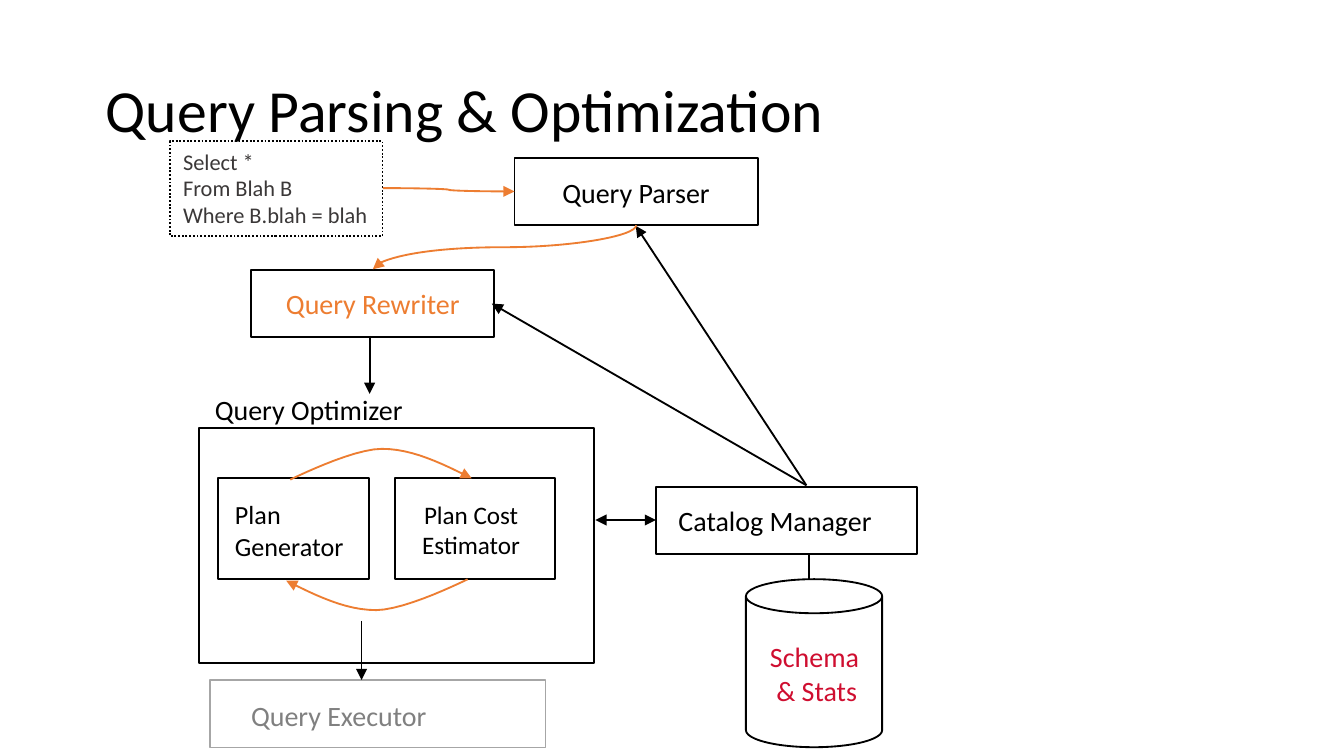
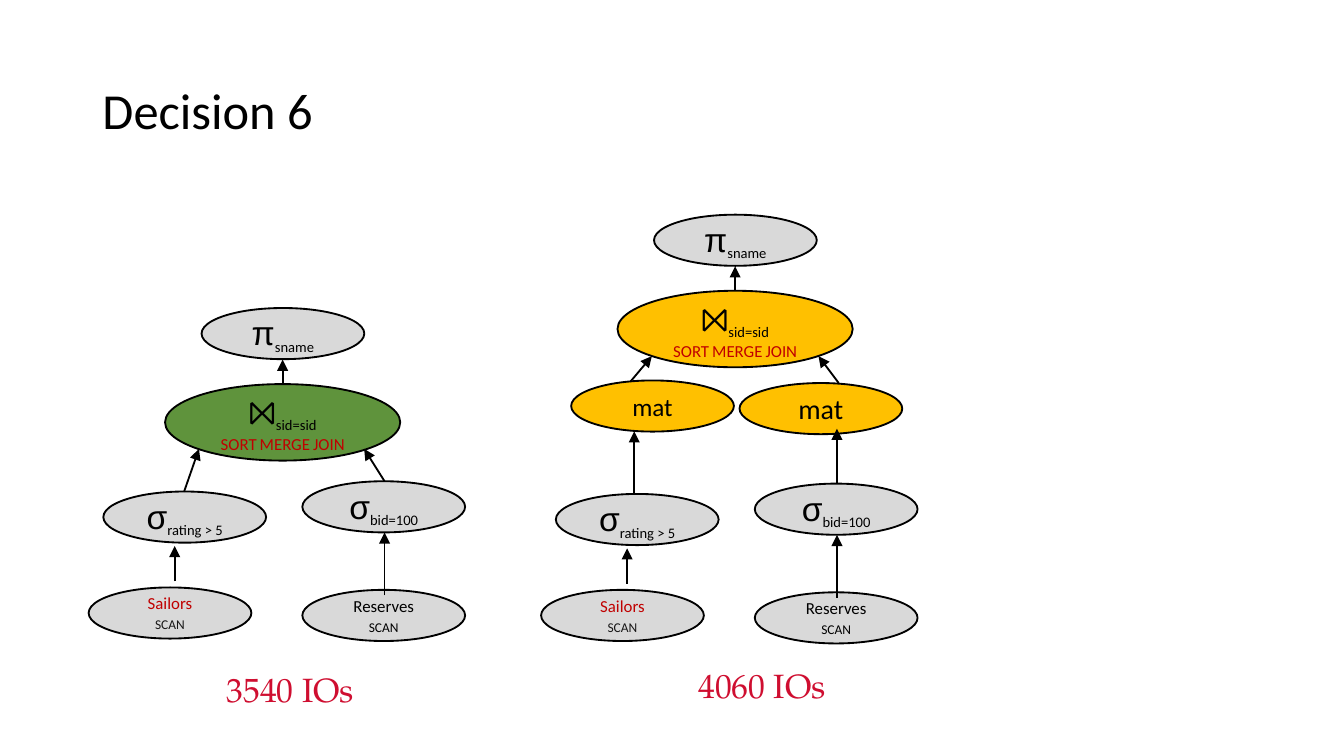
from lxml.etree import SubElement
from pptx import Presentation
from pptx.dml.color import RGBColor
from pptx.enum.dml import MSO_LINE
from pptx.enum.shapes import MSO_CONNECTOR, MSO_SHAPE
from pptx.enum.text import MSO_ANCHOR, MSO_AUTO_SIZE, PP_ALIGN
from pptx.oxml.ns import qn
from pptx.util import Pt

BLACK = RGBColor(0x00, 0x00, 0x00)
WHITE = RGBColor(0xFF, 0xFF, 0xFF)
ORANGE = RGBColor(0xED, 0x7D, 0x31)
CRIMSON = RGBColor(0xCF, 0x0E, 0x30)
DARK_RED = RGBColor(0xC0, 0x00, 0x00)
CHARCOAL = RGBColor(0x3B, 0x38, 0x38)
NEAR_BLACK = RGBColor(0x18, 0x17, 0x17)
GRAY = RGBColor(0x80, 0x80, 0x80)
MID_GRAY = RGBColor(0xA6, 0xA6, 0xA6)
LIGHT_GRAY = RGBColor(0xD9, 0xD9, 0xD9)
GREEN = RGBColor(0x5F, 0x93, 0x3C)
GOLD = RGBColor(0xFF, 0xC0, 0x00)

BODY_FONT = "Calibri"
SYMBOL_FONT = "Arial"
COST_FONT = "TeX Gyre Pagella"
LEFT, CENTER = PP_ALIGN.LEFT, PP_ALIGN.CENTER
TOP, MIDDLE = MSO_ANCHOR.TOP, MSO_ANCHOR.MIDDLE


def add_box(page, kind, place, lines=(), size=15, colour=BLACK, font=BODY_FONT,
            align=LEFT, anchor=TOP, wrap=True, fill=None, outline=BLACK):
    """Add a preset shape, or a plain text box when kind is None."""
    place = [Pt(value) for value in place]
    if kind is None:
        box = page.shapes.add_textbox(*place)
    else:
        box = page.shapes.add_shape(kind, *place)
        box.shadow.inherit = False
        box.line.color.rgb = outline
        box.line.width = Pt(1)
        if fill is None:
            box.fill.background()
        else:
            box.fill.solid()
            box.fill.fore_color.rgb = fill
    frame = box.text_frame
    frame.word_wrap = wrap
    frame.vertical_anchor = anchor
    for index, text in enumerate(lines):
        para = frame.add_paragraph() if index else frame.paragraphs[0]
        para.text = text
        para.alignment = align
        para.font.size = Pt(size)
        para.font.name = font
        para.font.color.rgb = colour
    return box


def finish_line(line_shape, colour, *ends):
    """Colour a line, give it triangle ends and remove its shadow."""
    line_shape.line.color.rgb = colour
    line_shape.line.width = Pt(1)
    properties = line_shape._element.spPr
    for end in ends:
        SubElement(properties.find(qn("a:ln")), qn("a:" + end), type="triangle")
    SubElement(properties, qn("a:effectLst"))


deck = Presentation()
deck.slide_width, deck.slide_height = Pt(720), Pt(405)

# Titles
pages = []
for heading, size in (("Query Parsing & Optimization", 32), ("Decision 6", 27)):
    page = deck.slides.add_slide(deck.slide_layouts[5])
    title = page.shapes.title
    title.left, title.top, title.width, title.height = Pt(49.5), Pt(21.6), Pt(621), Pt(78.3)
    title.text = heading
    frame = title.text_frame
    frame.auto_size = MSO_AUTO_SIZE.NONE
    frame.vertical_anchor = MIDDLE
    para = frame.paragraphs[0]
    para.alignment = LEFT
    para.line_spacing = 0.9
    para.font.size = Pt(size)
    para.font.name = BODY_FONT
    para.font.color.rgb = BLACK
    pages.append(page)
flow_page, plan_page = pages
plan_page.shapes.title.text_frame.margin_left = Pt(5.4)

# Flow: outlined stages
RECTANGLE = MSO_SHAPE.RECTANGLE
for place, outline in (
    ((351.4, 260.8, 140, 36), BLACK),
    ((112.3, 364.5, 180, 36), MID_GRAY),
    ((106.7, 229.2, 211.7, 126), BLACK),
    ((116.7, 256.2, 81, 54), BLACK),
    ((211.7, 256.2, 85.5, 54), BLACK),
):
    add_box(flow_page, RECTANGLE, place, outline=outline)
for place, label, colour in (
    ((134.6, 144.7, 130.3, 36), "Query Rewriter", ORANGE),
    ((275.6, 84.8, 130.3, 36), "Query Parser", BLACK),
):
    add_box(flow_page, RECTANGLE, place, [label], colour=colour,
            align=CENTER, anchor=MIDDLE, wrap=False)
query = add_box(flow_page, RECTANGLE, (91, 75.6, 114, 51),
                ["Select *", "From Blah B", "Where B.blah = blah"],
                size=12, colour=CHARCOAL, wrap=False)
query.line.dash_style = MSO_LINE.ROUND_DOT
add_box(flow_page, MSO_SHAPE.CAN, (399.6, 310.3, 73, 90), fill=WHITE)

# Flow: labels
for place, lines, size, colour, align, anchor in (
    ((216, 263.5, 72.7, 40.3), ["Plan Cost Estimator"], 13.5, BLACK, CENTER, MIDDLE),
    ((118.8, 263.5, 99.4, 41), ["Plan Generator"], 14, BLACK, LEFT, MIDDLE),
    ((127.4, 370.8, 234, 25.2), ["Query Executor"], 15, GRAY, LEFT, TOP),
    ((356.4, 266.4, 144, 25.2), ["Catalog Manager"], 15, BLACK, LEFT, TOP),
    ((108, 206.6, 364.3, 25.2), ["Query Optimizer"], 15, BLACK, LEFT, TOP),
    ((405.4, 339.1, 66.2, 43.9), ["Schema", " & Stats"], 15, CRIMSON, LEFT, TOP),
):
    add_box(flow_page, None, place, lines, size, colour, align=align, anchor=anchor)

# Flow: straight connectors
for start_x, start_y, end_x, end_y, ends in (
    (193.7, 332.6, 193.7, 364.3, ["tailEnd"]),
    (319, 278.6, 351.4, 278.6, ["headEnd", "tailEnd"]),
    (198, 180, 198, 211, ["tailEnd"]),
    (433.4, 297.4, 433.4, 310.3, []),
    (340.6, 121, 432, 260, ["headEnd"]),
    (263.5, 162.7, 432, 260, ["headEnd"]),
):
    connector = flow_page.shapes.add_connector(
        MSO_CONNECTOR.STRAIGHT, Pt(start_x), Pt(start_y), Pt(end_x), Pt(end_y))
    finish_line(connector, BLACK, *ends)

# Flow: curved connectors, the second turned by a quarter
for start_x, start_y, end_x, end_y, quarter_turns in (
    (205.2, 100.8, 275.6, 102.6, 0),
    (258.5, 61.9, 282.1, 203, 1),
):
    connector = flow_page.shapes.add_connector(
        MSO_CONNECTOR.CURVE, Pt(start_x), Pt(start_y), Pt(end_x), Pt(end_y))
    if quarter_turns:
        connector._element.spPr.find(qn("a:xfrm")).set("rot", str(quarter_turns * 5400000))
    finish_line(connector, ORANGE, "tailEnd")

# Flow: loop between generator and estimator, the lower arc mirrors the upper
upper_arc = [
    [(252.7, 256.3), (236.9, 248.4), (221, 240.5), (204.5, 240.5)],
    [(204.5, 240.5), (188.6, 240.5), (155.5, 257), (155.5, 257)],
]
lower_arc = [[(406 - x, 567.4 - y) for x, y in curve] for curve in upper_arc]
STEPS = 12
for arc, end in ((upper_arc, "headEnd"), (lower_arc, "headEnd")):
    points = [arc[0][0]]
    for curve in arc:
        for step in range(1, STEPS + 1):
            t = step / STEPS
            weights = ((1 - t) ** 3, 3 * t * (1 - t) ** 2, 3 * t * t * (1 - t), t ** 3)
            points.append(tuple(
                sum(weight * point[axis] for weight, point in zip(weights, curve))
                for axis in (0, 1)))
    points = [(Pt(x), Pt(y)) for x, y in points]
    builder = flow_page.shapes.build_freeform(*points[0])
    builder.add_line_segments(points[1:], close=False)
    loop = builder.convert_to_shape()
    loop.fill.background()
    finish_line(loop, ORANGE, end)

# Plans: two trees of operators, each operator a list of paragraphs of spans
NODE_WIDTH, NODE_HEIGHT = 87.2, 27.4
MAT = (13.5, BODY_FONT, BLACK, {})
SYMBOL = (18, SYMBOL_FONT, BLACK, {})
SUBSCRIPT = (13.5, BODY_FONT, BLACK, {"baseline": "-25000"})
TABLE = (9, BODY_FONT, BLACK, {})
RED_TABLE = (9, BODY_FONT, DARK_RED, {})
METHOD = (9, BODY_FONT, BLACK, {"cap": "small"})
DARK_METHOD = (9, BODY_FONT, NEAR_BLACK, {"cap": "small"})
RED_METHOD = (9, BODY_FONT, DARK_RED, {"cap": "small"})

for shift, lower, upper, join_fill, cost, cost_left, cost_top in (
    (0, 0, 0, GREEN, "3540 IOs", 99.4, 355.7),
    (242.4, 1.3, -50, GOLD, "4060 IOs", 352.1, 353.5),
):
    nodes = [
        (55.4, 263.3 + lower, LIGHT_GRAY, [[("σ", SYMBOL), ("rating > 5", SUBSCRIPT)]]),
        (47.5, 314.7 + lower, LIGHT_GRAY, [[("Sailors", RED_TABLE)], [("scan", DARK_METHOD)]]),
        (162, 316 + lower, LIGHT_GRAY, [[("Reserves", TABLE)], [("scan", METHOD)]]),
        (162, 257.8 + lower, LIGHT_GRAY, [[("σ", SYMBOL), ("bid=100", SUBSCRIPT)]]),
        (108, 165 + upper, LIGHT_GRAY, [[("π", SYMBOL), ("sname", SUBSCRIPT)]]),
        (88.4, 205.8 + upper, join_fill,
         [[("⨝", SYMBOL), ("sid=sid", SUBSCRIPT), ("\n", None),
           ("SORT MERGE JOIN", RED_METHOD)]]),
    ]
    arrows = [
        (93.6, 311.5 + lower, 93.6, 292.5 + lower),
        (206, 319 + lower, 206, 285.3 + lower),
        (151.4, 205.8 + upper, 151.4, 192.7 + upper),
    ]
    if shift:
        # Materialized inputs between the selections and the join
        nodes += [
            (63.6, 203.8, GOLD, [[("mat", MAT)]]),
            (153.8, 205.2, GOLD, [[("mat", (15, BODY_FONT, BLACK, {}))]]),
        ]
        arrows += [
            (95.3, 204.5, 106.8, 190.8),
            (206.9, 205.2, 196.1, 190.8),
            (97.4, 264.2, 97.4, 231.1),
            (206, 259.2, 206, 229.7),
        ]
    else:
        arrows += [(98.6, 263.5, 106.6, 240.5), (206, 257.8, 195.1, 240.5)]

    for left, top, fill, paragraphs in nodes:
        is_join = paragraphs[0][0][0] == "⨝"
        width, height = (126, 41) if is_join else (NODE_WIDTH, NODE_HEIGHT)
        box = add_box(plan_page, MSO_SHAPE.OVAL, (left + shift, top, width, height),
                      anchor=MIDDLE, fill=fill)
        frame = box.text_frame
        frame.margin_left = frame.margin_right = Pt(5.4)
        frame.margin_top = frame.margin_bottom = Pt(2.7)
        for index, spans in enumerate(paragraphs):
            para = frame.add_paragraph() if index else frame.paragraphs[0]
            para.alignment = CENTER
            for text, style in spans:
                if style is None:
                    para.add_line_break()
                    continue
                size, font, colour, extras = style
                span = para.add_run()
                span.text = text
                span.font.size = Pt(size)
                span.font.name = font
                span.font.color.rgb = colour
                for name, value in extras.items():
                    span._r.get_or_add_rPr().set(name, value)

    for start_x, start_y, end_x, end_y in arrows:
        connector = plan_page.shapes.add_connector(
            MSO_CONNECTOR.STRAIGHT, Pt(start_x + shift), Pt(start_y), Pt(end_x + shift), Pt(end_y))
        finish_line(connector, BLACK, "tailEnd")

    add_box(plan_page, None, (cost_left, cost_top, 112.3, 27.4), [cost], 18, CRIMSON,
            COST_FONT, CENTER, MIDDLE, wrap=False)

deck.save("out.pptx")
